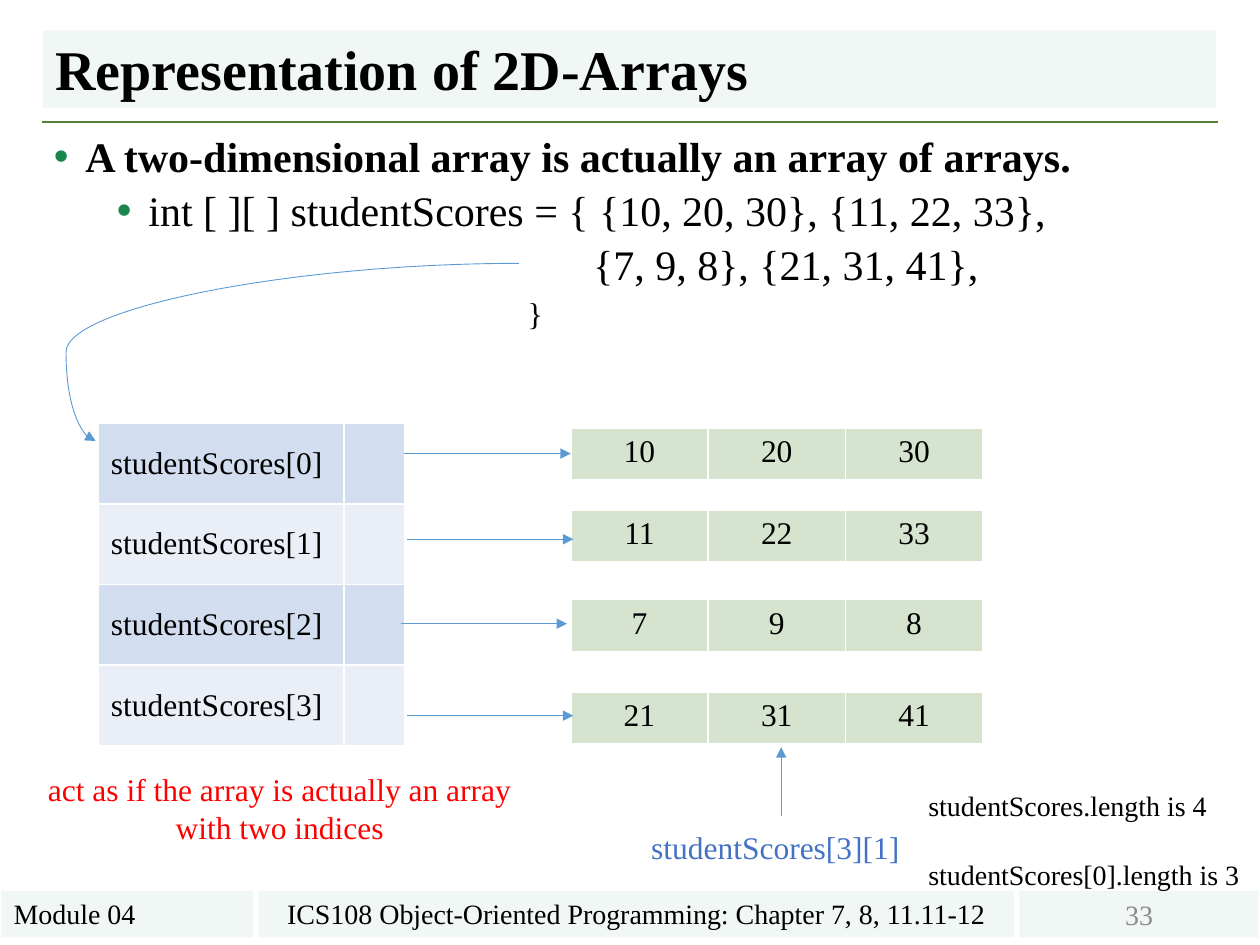
from lxml.etree import SubElement as Sub
from pptx import Presentation
from pptx.dml.color import RGBColor
from pptx.enum.shapes import MSO_CONNECTOR as Link, MSO_SHAPE as Form
from pptx.enum.text import MSO_ANCHOR as Anchor, PP_ALIGN as Align
from pptx.oxml.ns import qn
from pptx.util import Inches, Pt

FONT = "Times New Roman"
PALE, BLUE, GREEN = "F1F7F4", "5B9BD5", "D5E3CF"
BANDS = ["D2DEEF", "EAEFF7"]


def hue(code):
    """Turn a hex string into a colour."""
    return RGBColor.from_string(code)


def paint(item, code):
    """Fill a shape or cell with a solid colour."""
    item.fill.solid()
    item.fill.fore_color.rgb = hue(code)


def write(par, text, size=18, color="000000", bold=False, align=Align.LEFT,
          gap=0, lead=None):
    """Put formatted text in a paragraph."""
    par.alignment = align
    par.space_before = Pt(gap)
    if lead:
        par.line_spacing = lead
    run = par.add_run()
    run.text = text
    font = run.font
    font.name, font.size, font.bold = FONT, Pt(size), bold
    font.color.rgb = hue(color)


def indent(par, left, bullet=False):
    """Set the left indent of a paragraph and its optional bullet."""
    props = par._p.get_or_add_pPr()
    props.set("marL", str(Inches(left)))
    props.set("indent", str(Inches(-0.25 if bullet else 0)))
    if bullet:
        Sub(Sub(props, qn("a:buClr")), qn("a:srgbClr"), val="1A864B")
        Sub(props, qn("a:buFont"), typeface="Arial")
        Sub(props, qn("a:buChar"), char="•")


def label(slide, box, lines, wrap=True, gap=0, **style):
    """Add a text box with one paragraph per line."""
    frame = slide.shapes.add_textbox(*map(Inches, box)).text_frame
    frame.word_wrap = wrap
    for i, line in enumerate(lines):
        par = frame.add_paragraph() if i else frame.paragraphs[0]
        write(par, line, gap=gap if i else 0, **style)


def bar(slide, box, text, anchor=Anchor.TOP, **style):
    """Add a pale rectangle that holds one line of text."""
    shape = slide.shapes.add_shape(Form.RECTANGLE, *map(Inches, box))
    shape.shadow.inherit = False
    paint(shape, PALE)
    shape.line.fill.background()
    frame = shape.text_frame
    frame.word_wrap = True
    frame.vertical_anchor = anchor
    write(frame.paragraphs[0], text, **style)


def line(slide, start, end, color=BLUE, width=0.5, head=True, bend=None):
    """Add a straight line, or a curve with the given bend."""
    kind = Link.CURVE if bend else Link.STRAIGHT
    link = slide.shapes.add_connector(kind, *map(Inches, (*start, *end)))
    link.line.color.rgb = hue(color)
    link.line.width = Pt(width)
    props = link._element.spPr
    if head:
        Sub(props.find(qn("a:ln")), qn("a:tailEnd"), type="triangle")
    if bend:
        guides = props.find(qn("a:prstGeom")).find(qn("a:avLst"))
        Sub(guides, qn("a:gd"), name="adj1", fmla=f"val {round(bend * 100000)}")
    Sub(props, qn("a:effectLst"))


def edge(cell):
    """Give a cell thin white borders."""
    props = cell._tc.get_or_add_tcPr()
    for i, side in enumerate(("lnL", "lnR", "lnT", "lnB")):
        rim = props.makeelement(qn(f"a:{side}"), {"w": str(Pt(1))})
        Sub(Sub(rim, qn("a:solidFill")), qn("a:srgbClr"), val="FFFFFF")
        props.insert(i, rim)


def grid(slide, spot, cols, high, rows, fills, anchor, align):
    """Add a table whose rows cycle through the fills."""
    size = (sum(cols), high * len(rows))
    table = slide.shapes.add_table(
        len(rows), len(cols), *map(Inches, (*spot, *size))).table
    for col, wide in zip(table.columns, cols):
        col.width = Inches(wide)
    for r, row in enumerate(rows):
        table.rows[r].height = Inches(high)
        for c, text in enumerate(row):
            cell = table.cell(r, c)
            paint(cell, fills[r % len(fills)])
            edge(cell)
            cell.vertical_anchor = anchor
            if text:
                write(cell.text_frame.paragraphs[0], text, align=align)


def body(slide):
    """Add the bulleted statement and the array declaration."""
    box = slide.shapes.add_textbox(*map(Inches, (0.33, 1.03, 9.34, 2)))
    frame = box.text_frame
    frame.word_wrap = True
    rows = [
        ("A two-dimensional array is actually an array of arrays.", 0.25, True, 24, 18),
        ("int [ ][ ] studentScores = { {10, 20, 30}, {11, 22, 33},", 0.75, True, 24, 5),
        ("{7, 9, 8}, {21, 31, 41},", 4.28, False, 24, 5),
        ("}", 3.76, False, 18, 5),
    ]
    for i, (text, left, bullet, size, gap) in enumerate(rows):
        par = frame.add_paragraph() if i else frame.paragraphs[0]
        write(par, text, size=size, bold=i == 0, gap=gap, lead=0.9)
        indent(par, left, bullet)


def main():
    """Build the slide and save it."""
    deck = Presentation()
    deck.slide_width, deck.slide_height = Inches(10), Inches(7.5)
    slide = deck.slides.add_slide(deck.slide_layouts[6])

    line(slide, (0.33, 0.97), (9.67, 0.97), "548235", 1.5, head=False)
    bar(slide, (2.05, 7.07, 6, 0.37), "ICS108 Object-Oriented Programming: Chapter 7, 8, 11.11-12",
        size=16, align=Align.CENTER)
    bar(slide, (0.01, 7.07, 2, 0.37), "Module 04", size=16)
    body(slide)
    bar(slide, (0.34, 0.24, 9.31, 0.62), "Representation of 2D-Arrays",
        Anchor.BOTTOM, size=32, bold=True, lead=0.9)
    bar(slide, (8.09, 7.07, 1.9, 0.37), "33", Anchor.MIDDLE,
        size=16, color="8C8C8C", align=Align.CENTER)

    names = [(f"studentScores[{i}]", "") for i in range(4)]
    grid(slide, (0.78, 3.36), (1.95, 0.48), 0.64, names, BANDS,
         Anchor.MIDDLE, Align.LEFT)
    scores = [
        (3.4, ("10", "20", "30"), 3.21, 3.6),
        (4.05, ("11", "22", "33"), 3.23, 4.28),
        (4.76, ("7", "9", "8"), 3.18, 4.95),
        (5.49, ("21", "31", "41"), 3.23, 5.68),
    ]
    for top, row, x, y in scores:
        grid(slide, (4.53, top), [1.09] * 3, 0.41, [row], [GREEN],
             Anchor.TOP, Align.CENTER)
        line(slide, (x, y), (x + 1.32, y))

    line(slide, (4.12, 2.09), (0.76, 3.5), bend=1.07)
    label(slide, (5.07, 6.52, 2.19, 0.4), ["studentScores[3][1]"],
          wrap=False, color="4472C4")
    line(slide, (6.2, 6.48), (6.2, 5.93))
    label(slide, (0.11, 6.06, 4.22, 0.71),
          ["act as if the array is actually an array with two indices"],
          color="FF0000", align=Align.CENTER)
    label(slide, (7.27, 6.21, 2.73, 0.91),
          ["studentScores.length is 4", "studentScores[0].length is 3"],
          wrap=False, size=16, gap=20)
    deck.save("out.pptx")


if __name__ == "__main__":
    main()
